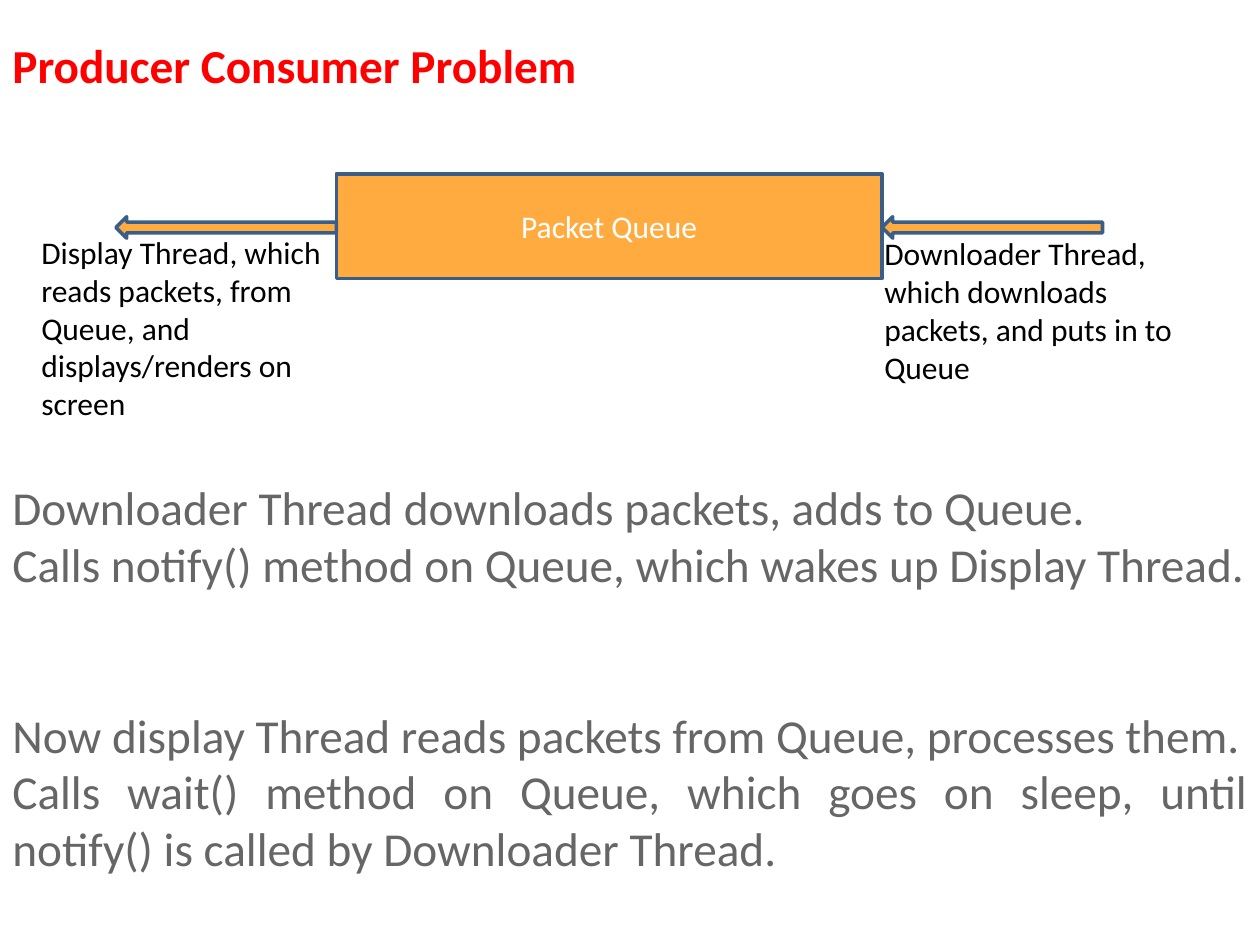
from dataclasses import dataclass

from pptx import Presentation
from pptx.dml.color import RGBColor
from pptx.enum.shapes import MSO_SHAPE
from pptx.enum.text import MSO_ANCHOR, PP_ALIGN
from pptx.util import Inches, Pt

RECT, ARROW = MSO_SHAPE.RECTANGLE, MSO_SHAPE.RIGHT_ARROW
TOP, MIDDLE = MSO_ANCHOR.TOP, MSO_ANCHOR.MIDDLE
LEFT, CENTER, JUSTIFY = PP_ALIGN.LEFT, PP_ALIGN.CENTER, PP_ALIGN.JUSTIFY


@dataclass(frozen=True)
class Theme:
    font: str = "Calibri"
    label_size: int = 18
    text_size: int = 27
    section_gap: int = 65
    line_width: int = 2
    fill: RGBColor = RGBColor(0xFF, 0xAB, 0x40)
    line: RGBColor = RGBColor(0x39, 0x5E, 0x89)
    white: RGBColor = RGBColor(0xFF, 0xFF, 0xFF)
    black: RGBColor = RGBColor(0, 0, 0)
    body: RGBColor = RGBColor(0x66, 0x66, 0x66)
    title: RGBColor = RGBColor(0xFF, 0, 0)


@dataclass(frozen=True)
class Box:
    left: float
    top: float
    width: float
    height: float

    def emu(self):
        return [Inches(v) for v in (self.left, self.top, self.width, self.height)]


@dataclass(frozen=True)
class Label:
    box: Box
    text: str


THEME = Theme()
QUEUE = Box(2.67, 1.38, 4.33, 0.83)
ARROW_WIDTH, ARROW_HEIGHT = 1.75, 0.17
ARROW_TOP = 1.72
THREAD_LABELS = [
    Label(Box(6.92, 1.81, 2.67, 1.31),
          "Downloader Thread, which downloads packets, and puts in to Queue"),
    Label(Box(0.23, 1.8, 2.67, 1.62),
          "Display Thread, which reads packets, from Queue, and displays/renders on screen"),
]
SECTIONS = [
    ["Downloader Thread downloads packets, adds to Queue.",
     "Calls notify() method on Queue, which wakes up Display Thread."],
    ["Now display Thread reads packets from Queue, processes them.",
     "Calls wait() method on Queue, which goes on sleep, until notify() is called "
     "by Downloader Thread."],
]


def write(sp, text: str, size: int, color: RGBColor, align=LEFT,
          anchor=TOP, bold: bool = False, inset: float = 0.05):
    tf = sp.text_frame
    tf.word_wrap = True
    tf.vertical_anchor = anchor
    tf.margin_left = tf.margin_right = Inches(0.1)
    tf.margin_top = tf.margin_bottom = Inches(inset)
    tf.text = text
    for p in tf.paragraphs:
        p.alignment = align
        for r in p.runs:
            r.font.name = THEME.font
            r.font.size = Pt(size)
            r.font.bold = bold
            r.font.color.rgb = color
    return tf


def add_block(slide, kind, box: Box):
    sp = slide.shapes.add_shape(kind, *box.emu())
    sp.shadow.inherit = False
    sp.fill.solid()
    sp.fill.fore_color.rgb = THEME.fill
    sp.line.color.rgb = THEME.line
    sp.line.width = Pt(THEME.line_width)
    return sp


def add_queue(slide) -> None:
    queue = add_block(slide, RECT, QUEUE)
    write(queue, "Packet Queue", THEME.label_size, THEME.white, CENTER, MIDDLE)
    for left in (QUEUE.left + QUEUE.width, QUEUE.left - ARROW_WIDTH):
        arrow = add_block(slide, ARROW, Box(left, ARROW_TOP, ARROW_WIDTH, ARROW_HEIGHT))
        arrow.rotation = 180


def add_text(slide, label: Label, size: int, color: RGBColor, **style):
    return write(slide.shapes.add_textbox(*label.box.emu()), label.text, size, color, **style)


def add_explanation(slide) -> None:
    lines = [line for section in SECTIONS for line in section]
    tf = add_text(slide, Label(Box(0, 3.75, 10, 4.48), "\n".join(lines)),
                  THEME.text_size, THEME.body, align=JUSTIFY)
    second_section = tf.paragraphs[len(SECTIONS[0])]
    second_section.space_before = Pt(THEME.section_gap)


def main() -> None:
    prs = Presentation()
    prs.slide_width, prs.slide_height = Inches(10), Inches(7.5)
    s = prs.slides.add_slide(prs.slide_layouts[6])
    add_queue(s)
    for label in THREAD_LABELS:
        add_text(s, label, THEME.label_size, THEME.black)
    add_explanation(s)
    add_text(s, Label(Box(0, 0.19, 8.78, 0.99), "Producer Consumer Problem"),
             THEME.text_size, THEME.title, bold=True, inset=0.1)
    prs.save("out.pptx")


if __name__ == "__main__":
    main()
